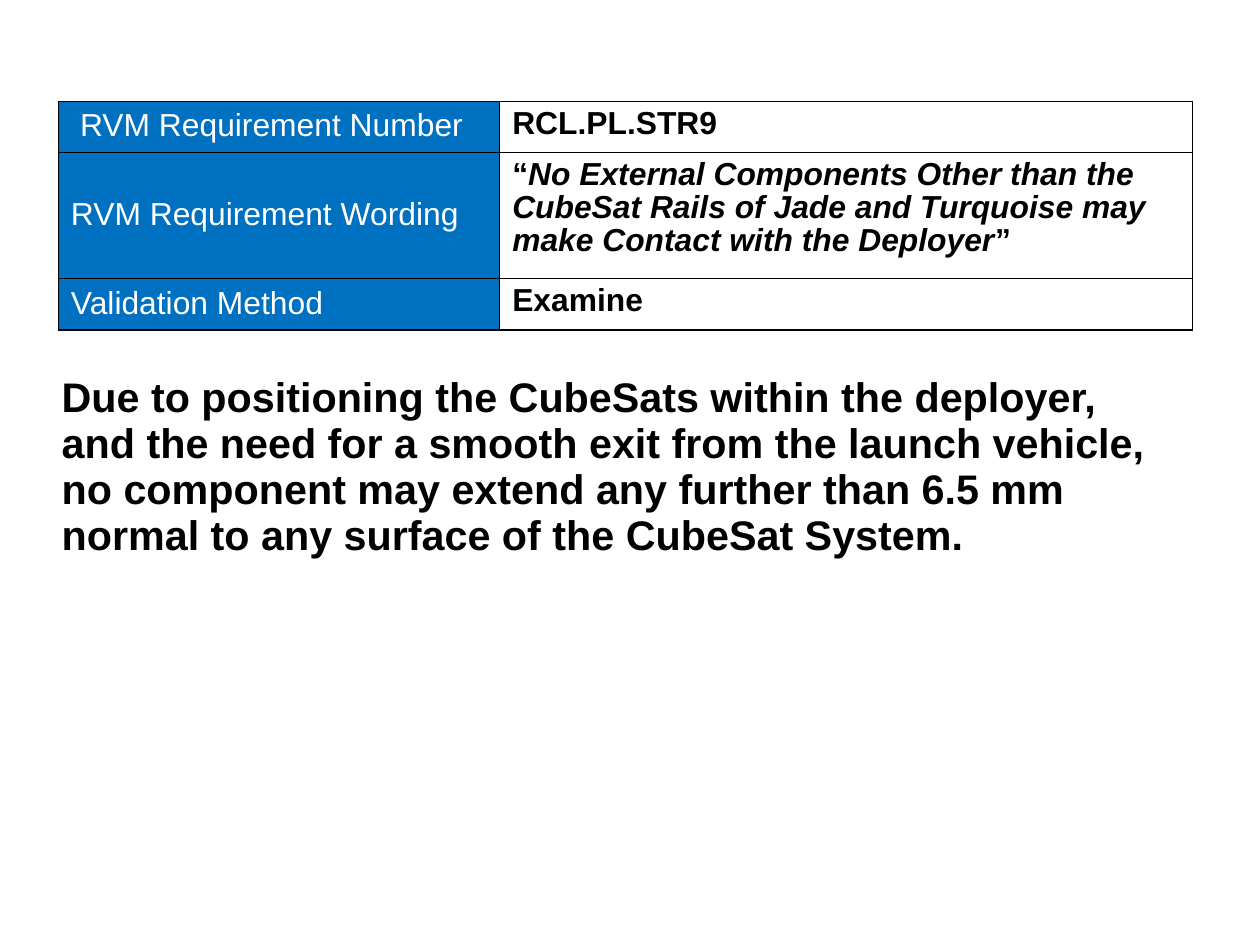
import pptx
import pptx.dml.color
import pptx.enum.text
import pptx.oxml.ns
import pptx.util
import lxml.etree

BLUE = pptx.dml.color.RGBColor(0x00, 0x70, 0xC0)
WHITE = pptx.dml.color.RGBColor(0xFF, 0xFF, 0xFF)
BLACK = pptx.dml.color.RGBColor(0x00, 0x00, 0x00)

WIDTH = pptx.util.Inches(11.02)
HEIGHT = pptx.util.Inches(8.27)
SIDE = pptx.util.Inches(0.11)
EDGE = pptx.util.Inches(0.06)
INDENT = pptx.util.Inches(0.19)
MARGINS = {"margin_left": SIDE, "margin_right": SIDE,
           "margin_top": EDGE, "margin_bottom": EDGE}

LABEL = {"name": "Arial", "size": pptx.util.Pt(20), "bold": False}
VALUE = {**LABEL, "bold": True}
QUOTE = {**VALUE, "italic": True}
BODY = {**VALUE, "size": pptx.util.Pt(26)}

COLUMNS = [35.03, 54.99]
ROWS = [5.44, 13.3, 5.44]
REQUIREMENT = [
    ("RVM Requirement Number", [("RCL.PL.STR9", VALUE)]),
    ("RVM Requirement Wording", [
        ("“", VALUE),
        ("No External Components Other than the CubeSat Rails of Jade and "
         "Turquoise may make Contact with the Deployer", QUOTE),
        ("”", VALUE)]),
    ("Validation Method", [("Examine", VALUE)]),
]
RATIONALE = ("Due to positioning the CubeSats within the deployer, and the need "
             "for a smooth exit from the launch vehicle, no component may extend "
             "any further than 6.5 mm normal to any surface of the CubeSat System.")


def across(percent):
    return int(WIDTH * percent / 100)


def down(percent):
    return int(HEIGHT * percent / 100)


def apply(target, values):
    for name, value in values.items():
        setattr(target, name, value)


def write(tf, runs, color):
    p = tf.paragraphs[0]
    p.line_spacing = 0.93
    for text, style in runs:
        r = p.add_run()
        r.text = text
        apply(r.font, style)
        r.font.color.rgb = color


def add_borders(cell):
    tcPr = cell._tc.get_or_add_tcPr()
    qn = pptx.oxml.ns.qn
    for side in ("a:lnL", "a:lnR", "a:lnT", "a:lnB"):
        ln = lxml.etree.SubElement(tcPr, qn(side), w=str(pptx.util.Pt(1)))
        fill = lxml.etree.SubElement(ln, qn("a:solidFill"))
        lxml.etree.SubElement(fill, qn("a:srgbClr"), val=str(BLACK))


def fill_cell(cell, runs, color, anchor, background=None):
    apply(cell, {**MARGINS, "vertical_anchor": anchor})
    add_borders(cell)
    if background is None:
        cell.fill.background()
    else:
        cell.fill.solid()
        cell.fill.fore_color.rgb = background
    write(cell.text_frame, runs, color)


def add_requirement_table(s):
    frame = s.shapes.add_table(len(ROWS), len(COLUMNS), across(4.63), down(10.7),
                               across(sum(COLUMNS)), down(sum(ROWS)))
    table = frame.table
    apply(table, {"first_row": False, "horz_banding": False})
    for column, share in zip(table.columns, COLUMNS):
        column.width = across(share)
    for row, share in zip(table.rows, ROWS):
        row.height = down(share)
    anchors = pptx.enum.text.MSO_ANCHOR
    for i, (label, value) in enumerate(REQUIREMENT):
        fill_cell(table.cell(i, 0), [(label, LABEL)], WHITE, anchors.MIDDLE, BLUE)
        fill_cell(table.cell(i, 1), value, BLACK, anchors.TOP)
    table.cell(0, 0).margin_left = INDENT


def add_rationale(s):
    sp = s.shapes.add_textbox(across(3.9), down(38.94), across(90.83), down(21.04))
    tf = sp.text_frame
    apply(tf, {**MARGINS, "word_wrap": True})
    write(tf, [(RATIONALE, BODY)], BLACK)


def main():
    prs = pptx.Presentation()
    apply(prs, {"slide_width": WIDTH, "slide_height": HEIGHT})
    s = prs.slides.add_slide(prs.slide_layouts[6])
    add_requirement_table(s)
    add_rationale(s)
    prs.save("out.pptx")


if __name__ == "__main__":
    main()
